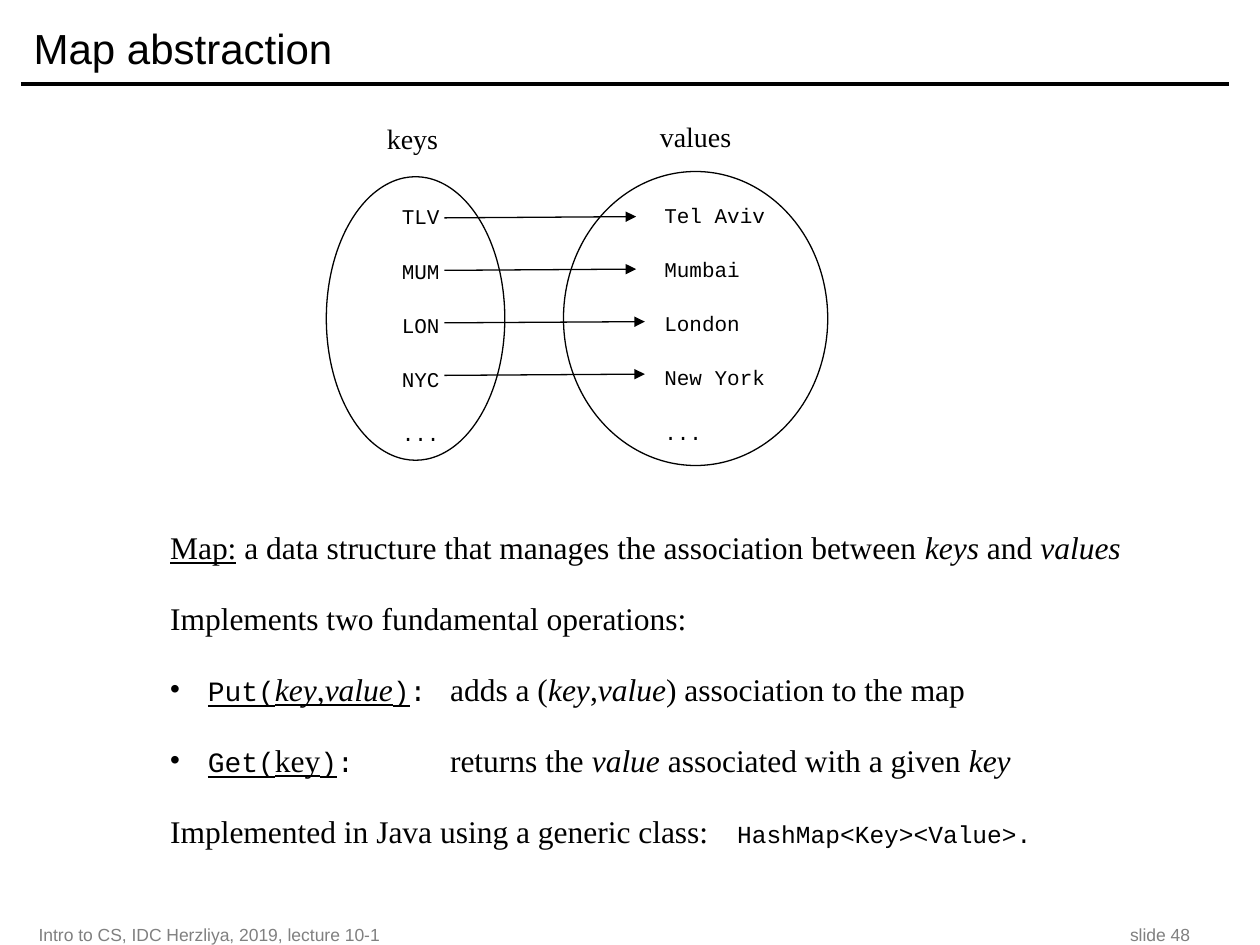
from lxml import etree
from pptx import Presentation
from pptx.dml.color import RGBColor
from pptx.enum.shapes import MSO_CONNECTOR, MSO_SHAPE
from pptx.enum.text import MSO_ANCHOR, MSO_AUTO_SIZE, PP_ALIGN
from pptx.oxml.ns import qn
from pptx.util import Pt

BLACK = RGBColor(0, 0, 0)
GRAY = RGBColor(0x80, 0x80, 0x80)

SERIF = {"name": "Times New Roman", "size": Pt(18)}
ITALIC = {**SERIF, "italic": True}
UNDERLINED = {**SERIF, "underline": True}
UNDERLINED_ITALIC = {**ITALIC, "underline": True}
CODE = {"name": "Courier New", "size": Pt(16)}
UNDERLINED_CODE = {**CODE, "underline": True}
SMALL_CODE = {"name": "Courier New", "size": Pt(14)}
ENTRY = {"name": "Courier New", "size": Pt(12)}
LABEL = {"name": "Times New Roman", "size": Pt(16)}
HEADING = {"name": "Arial", "size": Pt(24)}
FOOTER = {"name": "Arial", "size": Pt(10)}


def write(paragraph, text, style, color=BLACK):
    run = paragraph.add_run()
    run.text = text
    for attribute, value in style.items():
        setattr(run.font, attribute, value)
    run.font.color.rgb = color


def draw_line(x1, y1, x2, y2, width):
    line = slide.shapes.add_connector(
        MSO_CONNECTOR.STRAIGHT, Pt(x1), Pt(y1), Pt(x2), Pt(y2))
    line.line.color.rgb = BLACK
    line.line.width = Pt(width)
    etree.SubElement(line._element.spPr, qn("a:effectLst"))
    return line


prs = Presentation()
prs.slide_width, prs.slide_height = Pt(720), Pt(540)
slide = prs.slides.add_slide(prs.slide_layouts[1])
title, body = slide.placeholders

draw_line(12, 48, 702, 48, 2)

title.left, title.top, title.width, title.height = Pt(12), Pt(6), Pt(690), Pt(42)
title.text_frame.vertical_anchor = MSO_ANCHOR.MIDDLE
heading = title.text_frame.paragraphs[0]
heading.alignment = PP_ALIGN.LEFT
write(heading, "Map abstraction", HEADING)

body.left, body.top, body.width, body.height = Pt(90), Pt(298), Pt(587), Pt(181)
body.text_frame.auto_size = MSO_AUTO_SIZE.NONE
definition = [
    (False, None, [("Map:", UNDERLINED),
                   (" a data structure that manages the association between ", SERIF),
                   ("keys", ITALIC), (" and ", SERIF), ("values", ITALIC)]),
    (False, None, [("Implements two fundamental operations:", SERIF)]),
    (True, 160, [("Put(", UNDERLINED_CODE), ("key", UNDERLINED_ITALIC),
                 (",", UNDERLINED), ("value", UNDERLINED_ITALIC),
                 (")", UNDERLINED_CODE), (":", CODE), ("\tadds a (", SERIF),
                 ("key", ITALIC), (",", SERIF), ("value", ITALIC),
                 (") association to the map", SERIF)]),
    (True, 160, [("Get(", UNDERLINED_CODE), ("key", UNDERLINED),
                 (")", UNDERLINED_CODE), (":", CODE), ("\treturns the ", SERIF),
                 ("value", ITALIC), (" associated with a given ", SERIF),
                 ("key", ITALIC)]),
    (False, 317, [("Implemented in Java using a generic class:\t", SERIF),
                  ("HashMap<Key><Value>.", SMALL_CODE)]),
]
for i, (bulleted, tab, runs) in enumerate(definition):
    paragraph = body.text_frame.paragraphs[0] if i == 0 else body.text_frame.add_paragraph()
    properties = paragraph._p.get_or_add_pPr()
    indent = Pt(21.6) if bulleted else 0
    properties.set("marL", str(indent))
    properties.set("indent", str(-indent))
    if bulleted:
        bullet_color = etree.SubElement(properties, qn("a:buClr"))
        etree.SubElement(bullet_color, qn("a:srgbClr"), val=str(BLACK))
        etree.SubElement(properties, qn("a:buChar"), char="•")
    else:
        etree.SubElement(properties, qn("a:buNone"))
    if tab:
        tabs = etree.SubElement(properties, qn("a:tabLst"))
        etree.SubElement(tabs, qn("a:tab"), pos=str(Pt(tab)), algn="l")
    paragraph.space_before = Pt(19 if i else 0)
    for text, style in runs:
        write(paragraph, text, style)

footer = slide.shapes.add_textbox(Pt(15), Pt(526), Pt(684), Pt(16))
footer.text_frame.vertical_anchor = MSO_ANCHOR.MIDDLE
credits = footer.text_frame.paragraphs[0]
tabs = etree.SubElement(credits._p.get_or_add_pPr(), qn("a:tabLst"))
etree.SubElement(tabs, qn("a:tab"), pos=str(Pt(658)), algn="r")
write(credits, "Intro to CS, IDC Herzliya, 2019, lecture 10-1\tslide 48", FOOTER, GRAY)

sets = [
    ("keys", (214, 66, 66, 27), (222.5, 113, 54, 149), (186.5, 101, 102, 162),
     ["TLV", "MUM", "LON", "NYC", "..."]),
    ("values", (370, 65, 79, 27), (372.5, 112, 93, 149), (322, 98, 151, 168),
     ["Tel Aviv", "Mumbai", "London", "New York", "..."]),
]
for name, label_box, entries_box, oval_box, entries in sets:
    label = slide.shapes.add_textbox(*map(Pt, label_box))
    label.text_frame.word_wrap = True
    write(label.text_frame.paragraphs[0], name, LABEL)

    column = slide.shapes.add_textbox(*map(Pt, entries_box)).text_frame
    column.word_wrap = True
    for i, entry in enumerate(entries):
        paragraph = column.add_paragraph() if i else column.paragraphs[0]
        paragraph.space_before = Pt(16.6 if i else 0)
        write(paragraph, entry, ENTRY)

    oval = slide.shapes.add_shape(MSO_SHAPE.OVAL, *map(Pt, oval_box))
    oval.shadow.inherit = False
    oval.fill.background()
    oval.line.color.rgb = BLACK
    oval.line.width = Pt(0.75)

for i, tip in enumerate([363.5, 363.5, 368.5, 368.5]):
    y = 124.5 + 30 * i
    arrow = draw_line(254, y, tip, y - 0.7, 0.75)
    etree.SubElement(arrow.line._get_or_add_ln(), qn("a:tailEnd"), type="triangle")

prs.save("out.pptx")
